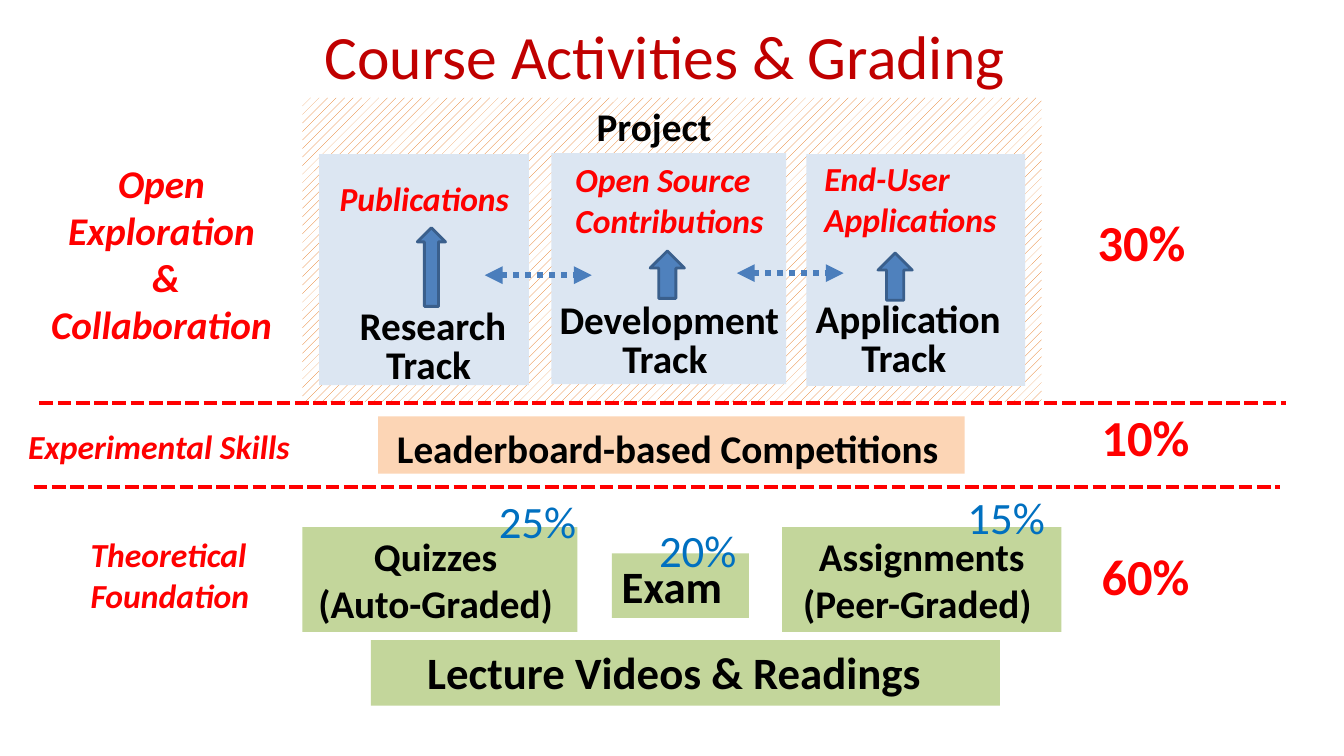
from lxml import etree
from pptx import Presentation
from pptx.dml.color import RGBColor
from pptx.enum.dml import MSO_PATTERN
from pptx.enum.shapes import MSO_CONNECTOR, MSO_SHAPE
from pptx.enum.text import MSO_ANCHOR, MSO_AUTO_SIZE, PP_ALIGN
from pptx.oxml.ns import qn
from pptx.util import Inches, Pt

RECTANGLE, UP_ARROW = MSO_SHAPE.RECTANGLE, MSO_SHAPE.UP_ARROW
LEFT, CENTER = PP_ALIGN.LEFT, PP_ALIGN.CENTER
TOP, MIDDLE = MSO_ANCHOR.TOP, MSO_ANCHOR.MIDDLE
FIT_SHAPE = MSO_AUTO_SIZE.SHAPE_TO_FIT_TEXT
STRAIGHT = MSO_CONNECTOR.STRAIGHT
PERCENT_20 = MSO_PATTERN.PERCENT_20

FONT = "Calibri"
COLORS = {
    "title": "C00000", "red": "FF0000", "black": "000000", "share": "0070C0",
    "white": "FFFFFF", "hatch": "E46C0A", "track": "DCE6F2", "skills": "FCD5B5",
    "theory": "C3D69B", "arrow": "4F81BD", "arrow edge": "3A5F8C", "link": "4B7EBC",
}
COLORS = {name: RGBColor.from_string(value) for name, value in COLORS.items()}

presentation = Presentation()
presentation.slide_width, presentation.slide_height = Inches(13.33), Inches(7.5)
slide = presentation.slides.add_slide(presentation.slide_layouts[6])

# Grid of 40 columns by 22.5 rows; boxes are left, top, width, height in cells
COLUMN = presentation.slide_width / 40
ROW = presentation.slide_height / 22.5


def add_block(box, fill=None, kind=RECTANGLE):
    left, top, width, height = box
    place = [int(n) for n in (left * COLUMN, top * ROW, width * COLUMN, height * ROW)]
    if fill is None:
        return slide.shapes.add_textbox(*place)
    shape = slide.shapes.add_shape(kind, *place)
    shape.shadow.inherit = False
    shape.fill.solid()
    shape.fill.fore_color.rgb = COLORS[fill]
    shape.line.fill.background()
    return shape


def add_text(shape, lines, size, color="black", bold=True, italic=False,
             align=LEFT, wrap=False, spacing=None):
    frame = shape.text_frame
    frame.word_wrap = wrap
    frame.auto_size = FIT_SHAPE
    frame.vertical_anchor = TOP
    for index, line in enumerate(lines):
        paragraph = frame.add_paragraph() if index else frame.paragraphs[0]
        paragraph.alignment = align
        if spacing:
            paragraph.line_spacing = Pt(spacing)
        run = paragraph.add_run()
        run.text = line
        font = run.font
        font.name, font.size, font.bold, font.italic = FONT, Pt(size), bold, italic
        font.color.rgb = COLORS[color]


# Hatched project area
project = add_block((9, 2.91, 22, 9.06), "white")
project.fill.patterned()
project.fill.pattern = PERCENT_20
project.fill.fore_color.rgb = COLORS["hatch"]
project.fill.back_color.rgb = COLORS["white"]
add_text(add_block((17.46, 2.91, 4.08, 1.71)), ["Project"], 28)

# Title
title = add_block((0, 0, 40, 3.24))
add_text(title, ["Course Activities & Grading "], 44, "title", False, align=CENTER, wrap=True)
title.text_frame.auto_size = MSO_AUTO_SIZE.NONE
title.text_frame.vertical_anchor = MIDDLE

# Tracks: panel, outcome, up arrow, track name
tracks = [
    ((9.5, 4.59, 6.24, 6.87), (9.81, 5.16, 6.18, 1.5), ["Publications"],
     (12.42, 6.78, 0.84, 2.34), (10.38, 9.06, 5.01, 2.67), "Research"),
    ((16.41, 4.56, 6.99, 6.87), (16.83, 4.59, 6.81, 2.73), ["Open Source", "Contributions"],
     (19.35, 7.47, 1.02, 1.41), (16.32, 8.88, 7.2, 2.67), "Development"),
    ((24, 4.59, 6.51, 6.9), (24.24, 4.56, 6, 2.73), ["End-User", "Applications"],
     (26.13, 7.53, 1.02, 1.41), (23.94, 8.85, 6.18, 2.67), "Application"),
]
for panel, outcome_box, outcome, arrow_box, name_box, name in tracks:
    add_block(panel, "track")
    add_text(add_block(outcome_box), outcome, 24, "red", italic=True)
    arrow = add_block(arrow_box, "arrow", UP_ARROW)
    arrow.line.color.rgb = COLORS["arrow edge"]
    arrow.line.width = Pt(2)
    add_text(add_block(name_box), [name, "Track "], 28, align=CENTER, spacing=28)

# Competitions, lectures and graded work
add_block((11.25, 12.39, 17.46, 1.71), "skills")
add_text(add_block((11.52, 12.48, 17.19, 1.71)), ["Leaderboard-based Competitions"], 28)
add_block((11.04, 19.05, 18.72, 1.95), "theory")
add_text(add_block((12.42, 19.05, 16.08, 1.95)), ["Lecture Videos & Readings"], 32, wrap=True)
add_text(add_block((9, 15.69, 8.19, 3.12), "theory"),
         ["Quizzes ", "(Auto-Graded) "], 28, align=CENTER)
add_text(add_block((23.28, 15.69, 8.31, 3.12), "theory"),
         ["Assignments", "(Peer-Graded) "], 28, align=CENTER)
add_text(add_block((18.21, 16.47, 4.08, 1.92), "theory"), ["Exam"], 32, wrap=True)

# Goals on the left
goals = [
    ((0.9, 4.59, 8.07, 5.97), ["Open ", "Exploration ", "&", "Collaboration "], 28, CENTER),
    ((0.54, 12.54, 8.97, 1.5), ["Experimental Skills"], 24, LEFT),
    ((2.4, 15.75, 5.61, 2.73), ["Theoretical", "Foundation"], 24, LEFT),
]
for box, lines, size, align in goals:
    add_text(add_block(box), lines, size, "red", italic=True, align=align)

# Grade of each level, and of each part of the theory level
for left, top, grade in [(32.37, 6.12, "30%"), (32.49, 11.94, "10%"), (32.49, 16.08, "60%")]:
    add_text(add_block((left, top, 3.24, 2.13)), [grade], 36, "red")
for left, top, grade in [(14.55, 14.55, "25%"), (19.32, 15.42, "20%"), (28.5, 14.43, "15%")]:
    add_text(add_block((left, top, 2.97, 1.92)), [grade], 32, "share", False)

# Level dividers and double-headed links between tracks: left, row, length
lines = [
    (1.17, 12, 37.1, "red", 3.25, "sysDash", False),
    (1, 14.49, 37.1, "red", 3.25, "sysDash", False),
    (14.43, 8.19, 3.18, "link", 4.25, "sysDot", True),
    (21.93, 8.13, 3.18, "link", 4.25, "sysDot", True),
]
for left, row, length, color, width, dash, arrowheads in lines:
    y = int(row * ROW)
    connector = slide.shapes.add_connector(
        STRAIGHT, int(left * COLUMN), y, int((left + length) * COLUMN), y)
    connector.line.color.rgb = COLORS[color]
    connector.line.width = Pt(width)
    properties = connector.element.spPr
    outline = properties.find(qn("a:ln"))
    etree.SubElement(outline, qn("a:prstDash"), val=dash)
    if arrowheads:
        for end in ("a:headEnd", "a:tailEnd"):
            etree.SubElement(outline, qn(end), type="triangle")
    etree.SubElement(properties, qn("a:effectLst"))

presentation.save("out.pptx")
